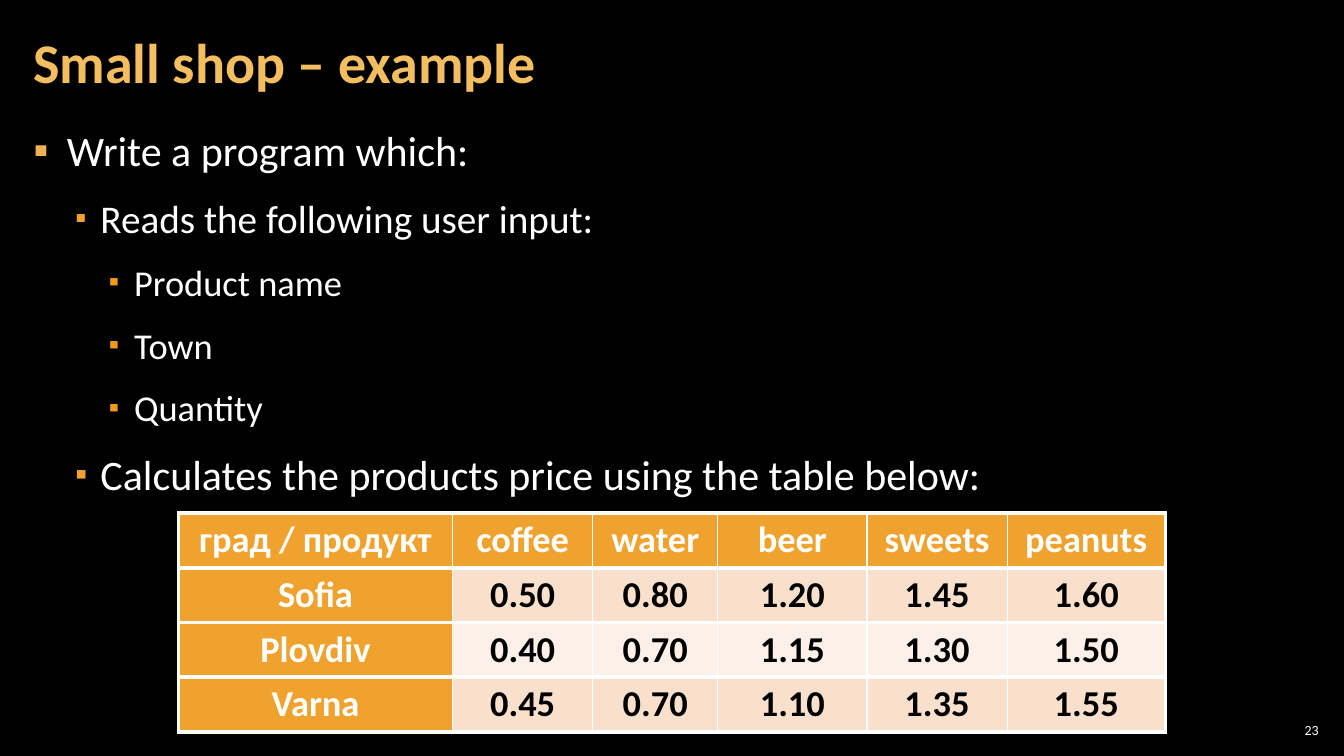
import pptx
import pptx.dml.color
import pptx.enum.text
import pptx.oxml
import pptx.oxml.ns
import pptx.util

Inches = pptx.util.Inches
Pt = pptx.util.Pt
Align = pptx.enum.text.PP_ALIGN
Anchor = pptx.enum.text.MSO_ANCHOR
NAMESPACE = pptx.oxml.ns.nsdecls("a")

WHITE, BLACK, ORANGE = "FFFFFF", "000000", "F0A22E"
BANDS = ["FCF0E8", "F9E0CD"]


def color(value):
    return pptx.dml.color.RGBColor.from_string(value)


def style(paragraph, size, value, bold=False):
    for run in paragraph.runs:
        run.font.name = "Calibri"
        run.font.size = Pt(size)
        run.font.bold = bold
        run.font.color.rgb = color(value)


presentation = pptx.Presentation()
presentation.slide_width = Inches(13.33)
presentation.slide_height = Inches(7.5)
slide = presentation.slides.add_slide(presentation.slide_layouts[1])
slide.background.fill.solid()
slide.background.fill.fore_color.rgb = color(BLACK)

title = slide.shapes.title
body = slide.placeholders[1]
number = slide.shapes.add_textbox(0, 0, 0, 0)
frames = [
    (title, (0.21, 0.04, 10.47, 1.21), 0.12, Anchor.MIDDLE),
    (body, (0.21, 1.17, 12.91, 5.97), 0.12, Anchor.TOP),
    (number, (12.65, 7.14, 0.47, 0.21), 0.04, Anchor.MIDDLE),
]
for shape, box, inset, anchor in frames:
    shape.left, shape.top, shape.width, shape.height = map(Inches, box)
    text_frame = shape.text_frame
    text_frame.word_wrap = True
    text_frame.auto_size = pptx.enum.text.MSO_AUTO_SIZE.NONE
    text_frame.vertical_anchor = anchor
    text_frame.margin_left = text_frame.margin_right = Inches(inset)
    text_frame.margin_top = text_frame.margin_bottom = Inches(0.04)

title.text_frame.text = "Small shop – example"
heading = title.text_frame.paragraphs[0]
heading.alignment = Align.LEFT
heading.line_spacing = 0.9
style(heading, 40, "F3BE60", True)

number.text_frame.text = "23"
number.text_frame.paragraphs[0].alignment = Align.RIGHT
style(number.text_frame.paragraphs[0], 10, WHITE)

levels = [(0.33, "F2B254", 100), (0.25, ORANGE, 80), (0.25, "EF9A1D", 80)]
tasks = [
    (0, 30, "Write a program which:"),
    (1, 28, "Reads the following user input:"),
    (2, 26, "Product name"),
    (2, 26, "Town"),
    (2, 26, "Quantity"),
    (1, 30, "Calculates the products price using the table below:"),
]
body.text_frame.text = "\n".join(text for level, size, text in tasks)
for paragraph, (level, size, text) in zip(body.text_frame.paragraphs, tasks):
    hanging, bullet_color, bullet_size = levels[level]
    paragraph.level = level
    paragraph.alignment = Align.LEFT
    paragraph.line_spacing = 1.05
    paragraph.space_before = paragraph.space_after = Pt(6)
    style(paragraph, size, WHITE)
    properties = paragraph._p.get_or_add_pPr()
    properties.set("marL", str(Inches((level + 1) / 3)))
    properties.set("indent", str(-Inches(hanging)))
    for bullet in (
        f'<a:buClr {NAMESPACE}><a:srgbClr val="{bullet_color}"/></a:buClr>',
        f'<a:buSzPct {NAMESPACE} val="{bullet_size * 1000}"/>',
        f'<a:buFont {NAMESPACE} typeface="Calibri"/>',
        f'<a:buChar {NAMESPACE} char="▪"/>',
    ):
        properties.append(pptx.oxml.parse_xml(bullet))

prices = [
    ["град / продукт", "coffee", "water", "beer", "sweets", "peanuts"],
    ["Sofia", "0.50", "0.80", "1.20", "1.45", "1.60"],
    ["Plovdiv", "0.40", "0.70", "1.15", "1.30", "1.50"],
    ["Varna", "0.45", "0.70", "1.10", "1.35", "1.55"],
]
column_widths = [2.72, 1.39, 1.24, 1.48, 1.39, 1.57]
last_column = len(column_widths) - 1
table = slide.shapes.add_table(
    len(prices), len(column_widths),
    Inches(1.77), Inches(5.09), Inches(sum(column_widths)), Inches(2.17),
).table
for column, width in zip(table.columns, column_widths):
    column.width = Inches(width)

for row_index, row in enumerate(prices):
    for column_index, text in enumerate(row):
        is_header = row_index == 0 or column_index == 0
        cell = table.cell(row_index, column_index)
        cell.text = text
        cell.vertical_anchor = Anchor.MIDDLE
        cell.margin_left = cell.margin_right = Inches(0.07)
        cell.margin_top = cell.margin_bottom = 0
        paragraph = cell.text_frame.paragraphs[0]
        paragraph.alignment = Align.CENTER
        style(paragraph, 26, WHITE if is_header else BLACK, True)
        borders = {
            "lnL": 3 if column_index == 0 else 1,
            "lnR": 3 if column_index == last_column else 1,
            "lnT": 3,
            "lnB": 3,
        }
        for side, width in borders.items():
            cell._tc.get_or_add_tcPr().append(pptx.oxml.parse_xml(
                f'<a:{side} {NAMESPACE} w="{Pt(width)}"><a:solidFill>'
                f'<a:srgbClr val="{WHITE}"/></a:solidFill></a:{side}>'
            ))
        cell.fill.solid()
        cell.fill.fore_color.rgb = color(ORANGE if is_header else BANDS[row_index % 2])

presentation.save("out.pptx")
